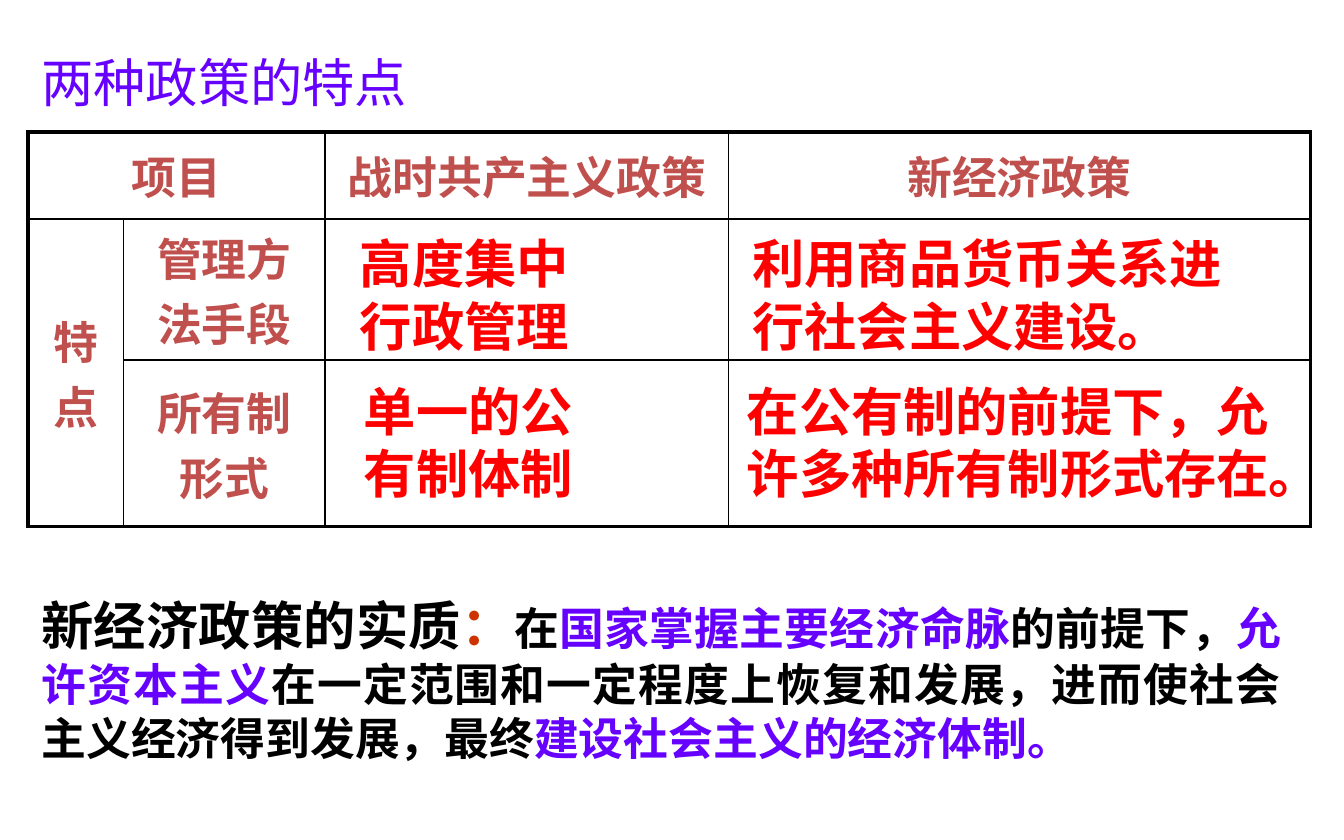
import pptx
import pptx.dml.color
import pptx.enum.text
import pptx.oxml
import pptx.oxml.ns
import pptx.util
from dataclasses import dataclass

Inches = pptx.util.Inches
Pt = pptx.util.Pt
Align = pptx.enum.text.PP_ALIGN
Anchor = pptx.enum.text.MSO_ANCHOR


@dataclass
class Theme:
    black: str = "000000"
    violet: str = "6600FF"
    brick: str = "C0504D"
    red: str = "FF0000"
    rust: str = "CC3300"
    large: int = 28
    normal: int = 24
    cjk: str = "Noto Sans CJK SC"
    latin: str = "Calibri"
    comic: str = "Comic Neue"
    thin: float = 1
    thick: float = 2.25


theme = Theme()


def style(run, size, color, face, bold=True):
    """Format a run, with the Chinese face for East Asian letters."""
    font = run.font
    font.size, font.bold, font.name = Pt(size), bold, face
    font.color.rgb = pptx.dml.color.RGBColor.from_string(color)
    east = pptx.oxml.parse_xml(
        f'<a:ea {pptx.oxml.ns.nsdecls("a")} typeface="{theme.cjk}"/>')
    run._r.get_or_add_rPr().find(pptx.oxml.ns.qn("a:latin")).addnext(east)


def border(cell, side, width):
    cell._tc.get_or_add_tcPr().append(pptx.oxml.parse_xml(
        f'<a:ln{side} {pptx.oxml.ns.nsdecls("a")} w="{Pt(width)}"><a:solidFill>'
        f'<a:srgbClr val="{theme.black}"/></a:solidFill></a:ln{side}>'))


deck = pptx.Presentation()
deck.slide_width, deck.slide_height = Inches(10), Inches(6.25)
slide = deck.slides.add_slide(deck.slide_layouts[5])

# Title
title = slide.shapes.title
title.left, title.top = Inches(0.21), Inches(0.29)
title.width, title.height = Inches(10), Inches(0.63)
frame = title.text_frame
frame.text = "两种政策的特点"
frame.vertical_anchor = Anchor.MIDDLE
frame.paragraphs[0].alignment = Align.LEFT
style(frame.paragraphs[0].runs[0], theme.large, theme.violet, theme.latin, False)

# Table
rows = [
    ["项目", "", "战时共产主义政策", "新经济政策"],
    ["特点", "管理方法手段", "", ""],
    ["", "所有制形式", "", ""],
]
widths = [0.71, 1.5, 3, 4.33]
heights = [0.65, 1.01, 1.24]
grid = slide.shapes.add_table(3, 4, Inches(0.21), Inches(0.98),
                              Inches(sum(widths)), Inches(sum(heights))).table
grid.first_row = grid.horz_banding = False
for col, width in zip(grid.columns, widths):
    col.width = Inches(width)
for row, height in zip(grid.rows, heights):
    row.height = Inches(height)
grid.cell(0, 0).merge(grid.cell(0, 1))
grid.cell(1, 0).merge(grid.cell(2, 0))

for r, words in enumerate(rows):
    for c, word in enumerate(words):
        cell = grid.cell(r, c)
        cell.vertical_anchor = Anchor.MIDDLE
        cell.margin_left = cell.margin_right = Inches(0.1)
        cell.margin_top = cell.margin_bottom = Inches(0.04)
        outer = {"L": c == 0, "R": c == 3, "T": r == 0, "B": r == 2}
        if (r, c) == (1, 0):
            outer["B"] = True
        for side, edge in outer.items():
            border(cell, side, theme.thick if edge else theme.thin)
        cell.fill.background()
        if word:
            cell.text_frame.text = word
            para = cell.text_frame.paragraphs[0]
            para.alignment = Align.CENTER
            style(para.runs[0], theme.normal, theme.brick, theme.cjk)

# Answers over the empty cells
answers = [
    (5.5, 1.63, 3.98, "利用商品货币关系进行社会主义建设。"),
    (5.46, 2.73, 4.17, "在公有制的前提下，允许多种所有制形式存在。"),
    (2.58, 1.63, 3.09, "高度集中\n行政管理"),
    (2.61, 2.73, 2.06, "单一的公有制体制"),
]
for left, top, width, words in answers:
    box = slide.shapes.add_textbox(Inches(left), Inches(top),
                                   Inches(width), Inches(1.04))
    frame = box.text_frame
    frame.word_wrap = True
    frame.margin_top = Inches(0.09)
    frame.margin_bottom = Inches(0)
    frame.text = words
    for para in frame.paragraphs:
        para.line_spacing = Pt(33.6)
        style(para.runs[0], theme.large, theme.red, theme.comic)

# Essence of the new policy
parts = [
    ("新经济政策的实质", theme.large, theme.black),
    ("：", theme.large, theme.rust),
    ("在", theme.normal, theme.black),
    ("国家掌握主要经济命脉", theme.normal, theme.violet),
    ("的前提下，", theme.normal, theme.black),
    ("允许资本主义", theme.normal, theme.violet),
    ("在一定范围和一定程度上恢复和发展，进而使社会主义经济得到发展，最终",
     theme.normal, theme.black),
    ("建设社会主义的经济体制。", theme.normal, theme.violet),
]
box = slide.shapes.add_textbox(Inches(0.21), Inches(4.3), Inches(9.42), Inches(1.57))
frame = box.text_frame
frame.word_wrap = True
frame.vertical_anchor = Anchor.MIDDLE
para = frame.paragraphs[0]
para.alignment = Align.JUSTIFY
para.line_spacing = Pt(29)
for words, size, color in parts:
    run = para.add_run()
    run.text = words
    style(run, size, color, theme.cjk)

deck.save("out.pptx")
